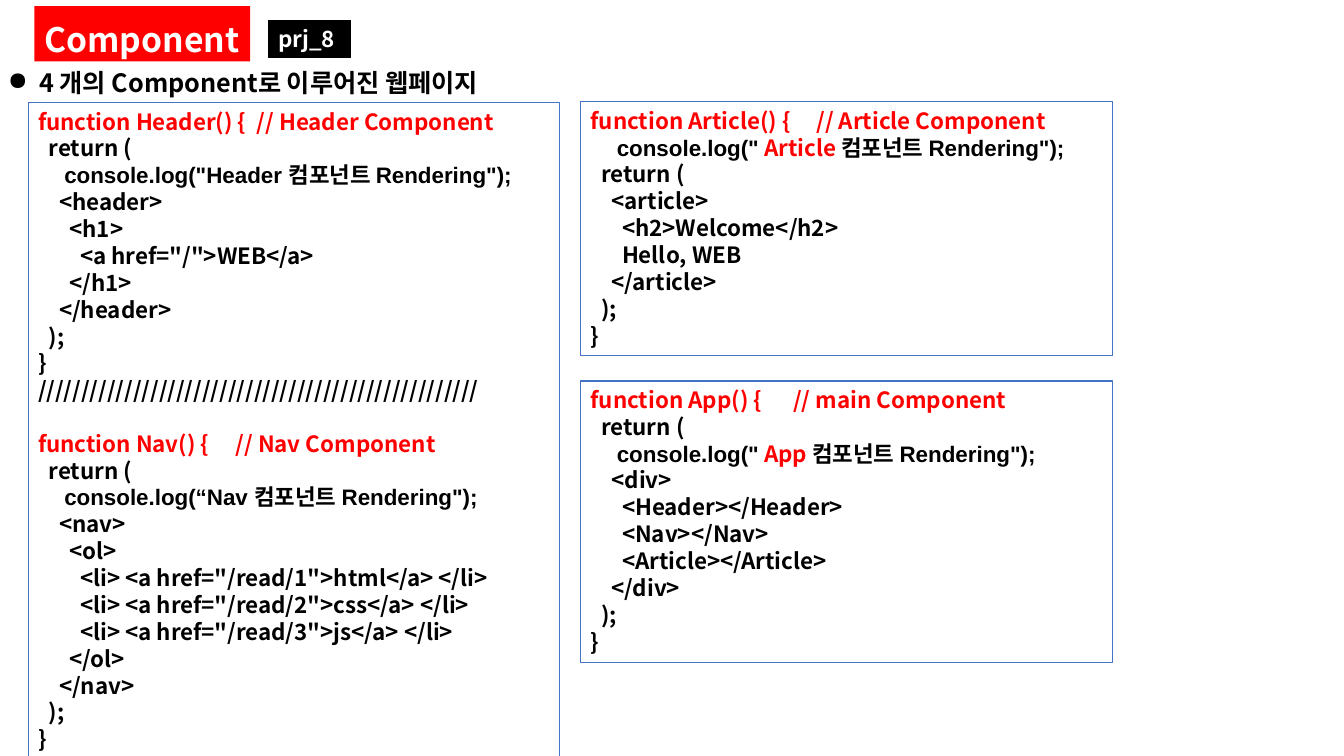
import pptx
import pptx.util
import pptx.dml.color
import pptx.enum.shapes
import pptx.enum.text
import lxml.etree

RED = pptx.dml.color.RGBColor(0xFF, 0, 0)
BLUE = pptx.dml.color.RGBColor(0x44, 0x72, 0xC4)
BLACK = pptx.dml.color.RGBColor(0, 0, 0)
WHITE = pptx.dml.color.RGBColor(0xFF, 0xFF, 0xFF)
SANS = "Noto Sans CJK KR"
LOG = "Arial"

TITLE = "Component"
TAG = "prj_8"
POINT = "4 개의 Component로 이루어진 웹페이지"

HEAD = """
  return (
     console.log("Header 컴포넌트 Rendering");
    <header>
      <h1>
        <a href="/">WEB</a>
      </h1>
    </header>
  );
}
///////////////////////////////////////////////////
"""
NAV = """
  return (
     console.log(“Nav 컴포넌트 Rendering");
    <nav>
      <ol>
        <li> <a href="/read/1">html</a> </li>
        <li> <a href="/read/2">css</a> </li>
        <li> <a href="/read/3">js</a> </li>
      </ol>
    </nav>
  );
}
"""
ARTICLE = """
     console.log(" Article 컴포넌트 Rendering");
  return (
    <article>
      <h2>Welcome</h2>
      Hello, WEB
    </article>
  );
}
"""
APP = """
  return (
     console.log(" App 컴포넌트 Rendering");
    <div>
      <Header></Header>
      <Nav></Nav>
      <Article></Article>
    </div>
  );
}
"""

COLS = (0.28, 5.76)
WIDE = 5.27
STEP = 0.052
BOXES = [
    (0, 1.02, 6.56, [("Header", "Header", 2.17, HEAD), ("Nav", "Nav", 1.96, NAV)]),
    (1, 1.01, 2.52, [("Article", "Article", 2.24, ARTICLE)]),
    (1, 3.78, 2.79, [("App", "main", 2.01, APP)]),
]

inch = pptx.util.Inches
deck = pptx.Presentation()
deck.slide_width, deck.slide_height = inch(13.33), inch(7.5)
page = deck.slides.add_slide(deck.slide_layouts[5])


def place(shape, left, top, width, height):
    shape.left, shape.top = inch(left), inch(top)
    shape.width, shape.height = inch(width), inch(height)


def frame(shape):
    text = shape.text_frame
    text.word_wrap = True
    text.auto_size = pptx.enum.text.MSO_AUTO_SIZE.NONE
    text.vertical_anchor = pptx.enum.text.MSO_ANCHOR.TOP
    return text


def box(left, top, width, height, fill, line):
    shape = page.shapes.add_shape(
        pptx.enum.shapes.MSO_SHAPE.RECTANGLE,
        inch(left), inch(top), inch(width), inch(height))
    shape.shadow.inherit = False
    shape.fill.solid()
    shape.fill.fore_color.rgb = fill
    shape.line.color.rgb = line
    shape.line.width = pptx.util.Pt(0.75)
    return frame(shape)


def child(node, name, **attrs):
    tag = pptx.oxml.ns.qn("a:" + name)
    return lxml.etree.SubElement(node, tag, **attrs)


def style(para, size, color, face=SANS, align=pptx.enum.text.PP_ALIGN.LEFT):
    para.alignment = align
    font = para.font
    font.size, font.bold, font.name = pptx.util.Pt(size), True, face
    font.color.rgb = color
    child(para._p.pPr.find(pptx.oxml.ns.qn("a:defRPr")), "ea", typeface=SANS)


def start(para, name, role, stop):
    para.text = f"function {name}() {{\t// {role} Component"
    tabs = child(para._p.get_or_add_pPr(), "tabLst")
    child(tabs, "tab", pos=str(inch(stop)), algn="l")
    style(para, 16, RED)


def body(para, line, name):
    code = line.lstrip()
    shift = inch(STEP * (len(line) - len(code)))
    para._p.get_or_add_pPr().set("marL", str(shift))
    face = LOG if code.startswith("console") else SANS
    style(para, 16, BLACK, face)
    for part in code.partition(f" {name} "):
        if part:
            run = para.add_run()
            run.text = part
            if part == f" {name} ":
                run.font.name = SANS
                run.font.color.rgb = RED


just = pptx.enum.text.PP_ALIGN.JUSTIFY

for col, top, height, parts in BOXES:
    text = box(COLS[col], top, WIDE, height, WHITE, BLUE)
    for spot, (name, role, stop, code) in enumerate(parts):
        para = text.add_paragraph() if spot else text.paragraphs[0]
        start(para, name, role, stop)
        if spot:
            para.space_before = pptx.util.Pt(19)
        for line in code.strip("\n").split("\n"):
            body(text.add_paragraph(), line, name)

note = page.shapes.add_textbox(inch(-0.02), inch(0.62), inch(WIDE), inch(0.4))
para = frame(note).paragraphs[0]
para.text = POINT
props = para._p.get_or_add_pPr()
props.set("marL", str(inch(0.31)))
props.set("indent", str(inch(-0.31)))
child(props, "buChar", char="●")
style(para, 18, BLACK, align=just)

para = box(2.66, 0.2, 0.82, 0.37, BLACK, BLACK).paragraphs[0]
para.text = TAG
style(para, 16, WHITE, align=just)

title = page.shapes.title
place(title, 0.34, 0.06, 2.14, 0.55)
title.fill.solid()
title.fill.fore_color.rgb = RED
para = frame(title).paragraphs[0]
para.text = TITLE
para.line_spacing = 1.2
style(para, 24, WHITE, align=just)

deck.save("out.pptx")
